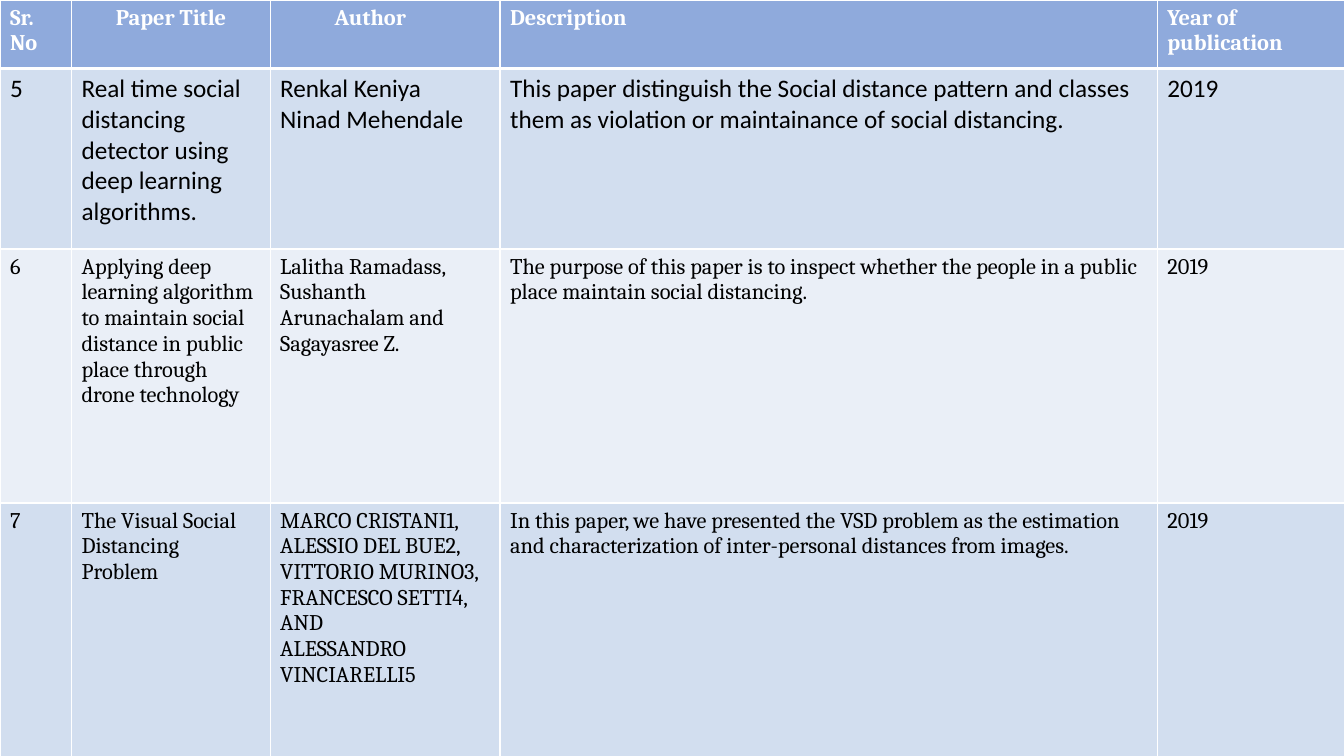
from dataclasses import dataclass

from lxml.etree import SubElement as Sub
from pptx import Presentation
from pptx.dml.color import RGBColor as RGB
from pptx.oxml.ns import qn
from pptx.table import _Cell as Cell
from pptx.util import Inches, Pt


@dataclass(frozen=True)
class Theme:
    head: str = "8FAADC"
    dark: str = "D2DEEF"
    light: str = "EAEFF7"
    white: str = "FFFFFF"
    black: str = "000000"
    serif: str = "Cambria"
    sans: str = "Calibri"
    small: int = 16
    large: int = 18
    thin: int = 1
    thick: int = 3


@dataclass(frozen=True)
class Style:
    fill: str
    ink: str = Theme.black
    font: str = Theme.serif
    size: int = Theme.small
    bold: bool = False
    base: int = Theme.thin


@dataclass(frozen=True)
class Row:
    height: float
    style: Style
    texts: tuple[str, ...]
    indents: tuple[float, ...] = (0, 0, 0, 0, 0)


WIDTHS = (0.71, 1.97, 2.28, 6.52, 1.86)
HEAD = Style(Theme.head, Theme.white, bold=True, base=Theme.thick)
ROWS = (
    Row(0.68, HEAD,
        ("Sr. No", "Paper Title", "Author", "Description", "Year of publication"),
        (0, 0.34, 0.54, 0, 0)),
    Row(1.79, Style(Theme.dark, font=Theme.sans, size=Theme.large), (
        "5",
        "Real time social distancing detector using deep learning algorithms.",
        "Renkal Keniya\nNinad Mehendale",
        "This paper distinguish the Social distance pattern and classes them as "
        "violation or maintainance of social distancing.",
        "2019")),
    Row(2.52, Style(Theme.light), (
        "6",
        "Applying deep learning algorithm to maintain social distance in public "
        "place through\ndrone technology",
        "Lalitha Ramadass, Sushanth Arunachalam and Sagayasree Z.",
        "The purpose of this paper is to inspect whether the people in a public "
        "place maintain social distancing.",
        "2019")),
    Row(2.52, Style(Theme.dark), (
        "7",
        "The Visual Social Distancing Problem",
        "MARCO CRISTANI1, ALESSIO DEL BUE2,\n"
        "VITTORIO MURINO3, FRANCESCO SETTI4, AND\n"
        "ALESSANDRO VINCIARELLI5",
        "In this paper, we have presented the VSD problem as the estimation and "
        "characterization of inter-personal distances from images.",
        "2019")),
)


def add_lines(cell: Cell, top: int, base: int) -> None:
    """Border the cell in white, with its top and base widths in points."""
    props = cell._tc.get_or_add_tcPr()
    sides = {"lnL": Theme.thin, "lnR": Theme.thin, "lnT": top, "lnB": base}
    for side, width in sides.items():
        line = Sub(props, qn(f"a:{side}"), w=str(Pt(width)))
        Sub(Sub(line, qn("a:solidFill")), qn("a:srgbClr"), val=Theme.white)


def fill_cell(cell: Cell, text: str, style: Style, indent: float, top: int) -> None:
    add_lines(cell, top, style.base)
    cell.fill.solid()
    cell.fill.fore_color.rgb = RGB.from_string(style.fill)
    cell.text = text
    for para in cell.text_frame.paragraphs:
        if indent:
            para._p.get_or_add_pPr().set("marL", str(Inches(indent)))
        font = para.font
        font.name, font.size, font.bold = style.font, Pt(style.size), style.bold
        font.color.rgb = RGB.from_string(style.ink)


def main() -> None:
    deck = Presentation()
    deck.slide_width, deck.slide_height = Inches(13.33), Inches(7.5)
    slide = deck.slides.add_slide(deck.slide_layouts[6])
    table = slide.shapes.add_table(
        len(ROWS), len(WIDTHS), 0, 0, deck.slide_width, deck.slide_height).table
    for col, width in zip(table.columns, WIDTHS):
        col.width = Inches(width)
    top = Theme.thin
    for line, row in zip(table.rows, ROWS):
        line.height = Inches(row.height)
        for cell, text, indent in zip(line.cells, row.texts, row.indents):
            fill_cell(cell, text, row.style, indent, top)
        top = row.style.base
    deck.save("out.pptx")


if __name__ == "__main__":
    main()
